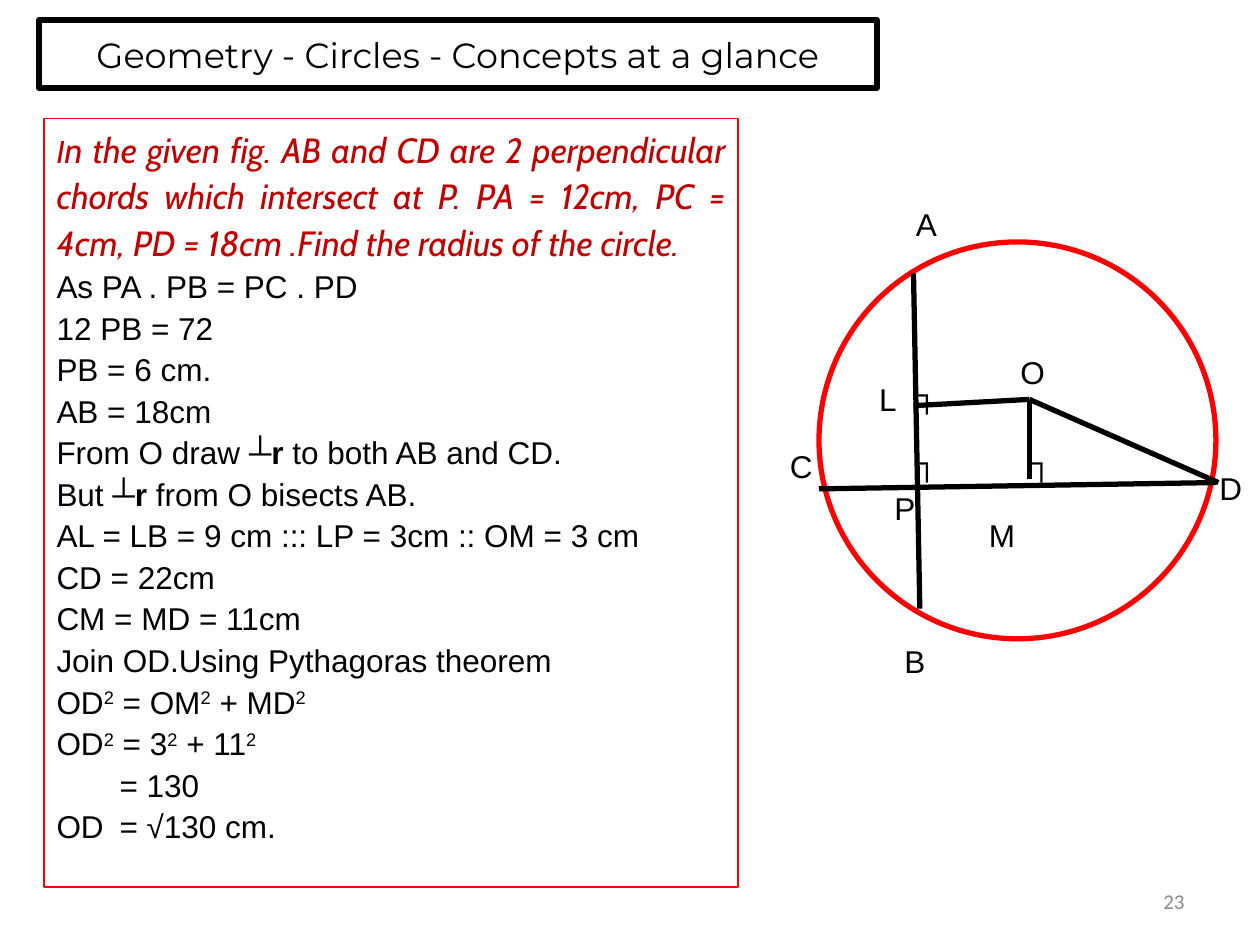
"""Build a geometry slide with a worked circle problem and its figure."""
import dataclasses
import typing

import lxml.etree
import pptx
import pptx.dml.color
import pptx.enum.shapes
import pptx.enum.text
import pptx.oxml.ns
import pptx.util

Inches = pptx.util.Inches
Align = pptx.enum.text.PP_ALIGN
Anchor = pptx.enum.text.MSO_ANCHOR


@dataclasses.dataclass(frozen=True)
class Theme:
    black: str = "000000"
    red: str = "FF0000"
    question: str = "C00000"
    grey: str = "898989"
    title_font: str = "Montserrat"
    question_font: str = "Cabin"
    body_font: str = "Arial"
    number_font: str = "Calibri"
    large: int = 20
    body: int = 18
    small: int = 12
    thick: float = 3
    thin: float = 1


THEME = Theme()


class Box(typing.NamedTuple):
    left: float
    top: float
    width: float
    height: float


class Point(typing.NamedTuple):
    x: float
    y: float


@dataclasses.dataclass(frozen=True)
class Span:
    text: str
    size: int = THEME.body
    font: str = THEME.body_font
    color: str = THEME.black
    bold: bool = False
    italic: bool = False
    raised: bool = False


class Label(typing.NamedTuple):
    text: str
    left: float
    top: float
    width: float


SQUARED = Span("2", raised=True)
PERPENDICULAR = Span("┴r", bold=True)
QUESTION_STYLE = Span("", THEME.large, THEME.question_font, THEME.question, italic=True)
SOLUTION = [
    [
        dataclasses.replace(QUESTION_STYLE, text="I", size=THEME.body),
        dataclasses.replace(
            QUESTION_STYLE,
            text="n the given fig. AB and CD are 2 perpendicular chords which intersect at P. "
            "PA = 12cm, PC = 4cm, PD = 18cm .Find the radius of the circle.",
        ),
    ],
    [Span("As PA . PB = PC . PD")],
    [Span("12 PB = 72")],
    [Span("PB = 6 cm.")],
    [Span("AB = 18cm")],
    [Span("From O draw "), PERPENDICULAR, Span(" to both AB and CD.")],
    [Span("But "), PERPENDICULAR, Span(" from O bisects AB.")],
    [Span("AL = LB = 9 cm ::: LP = 3cm :: OM = 3 cm")],
    [Span("CD = 22cm")],
    [Span("CM = MD = 11cm")],
    [Span("Join OD.Using Pythagoras theorem")],
    [Span("OD"), SQUARED, Span(" = OM"), SQUARED, Span(" + MD"), SQUARED],
    [Span("OD"), SQUARED, Span(" = 3"), SQUARED, Span(" + 11"), SQUARED],
    [Span("\t= 130")],
    [Span("OD\t= √130 cm.")],
]
EQUALS_TAB = 0.5

CIRCLE = Box(6.5, 1.92, 3.15, 3.15)
CENTRE = Point(8.17, 3.17)
SEGMENTS = [
    (Point(7.25, 2.17), Point(7.3, 4.83)),
    (Point(6.5, 3.88), Point(9.65, 3.83)),
    (CENTRE, Point(8.17, 3.8)),
    (CENTRE, Point(9.67, 3.83)),
    (Point(7.25, 3.22), CENTRE),
]
LABEL_HEIGHT = 0.4
LABELS = [
    Label("A", 7.17, 1.58, 0.67),
    Label("B", 7.08, 5.05, 0.37),
    Label("C", 6.17, 3.5, 0.33),
    Label("D", 9.58, 3.67, 0.25),
    Label("P", 7, 3.83, 0.42),
    Label("M", 7.75, 4.05, 0.45),
    Label("O", 8, 2.75, 0.25),
    Label("L", 6.88, 2.97, 0.2),
    Label("┐", 7.17, 3.46, 0.5),
    Label("┐", 7.17, 2.92, 0.42),
    Label("┐", 8.08, 3.46, 0.37),
]


def rgb(color: str) -> pptx.dml.color.RGBColor:
    return pptx.dml.color.RGBColor.from_string(color)


def add_run(paragraph, span: Span) -> None:
    run = paragraph.add_run()
    run.text = span.text
    run.font.size = pptx.util.Pt(span.size)
    run.font.name = span.font
    run.font.color.rgb = rgb(span.color)
    run.font.bold = span.bold
    run.font.italic = span.italic
    if span.raised:
        run.font._element.set("baseline", "30000")


def add_tab_stop(paragraph, position: float) -> None:
    tag = pptx.oxml.ns.qn
    stops = lxml.etree.SubElement(paragraph._p.get_or_add_pPr(), tag("a:tabLst"))
    lxml.etree.SubElement(stops, tag("a:tab"), pos=str(Inches(position)), algn="l")


def add_text(slide, box: Box, lines: list[list[Span]], align=Align.LEFT,
             anchor=Anchor.TOP, spacing: float = 1.0):
    shape = slide.shapes.add_textbox(*map(Inches, box))
    frame = shape.text_frame
    frame.word_wrap = True
    frame.vertical_anchor = anchor
    for index, spans in enumerate(lines):
        paragraph = frame.add_paragraph() if index else frame.paragraphs[0]
        paragraph.alignment = align
        paragraph.line_spacing = spacing
        if any("\t" in span.text for span in spans):
            add_tab_stop(paragraph, EQUALS_TAB)
        for span in spans:
            add_run(paragraph, span)
    return shape


def set_line(shape, color: str, width: float) -> None:
    shape.line.color.rgb = rgb(color)
    shape.line.width = pptx.util.Pt(width)


def add_segment(slide, start: Point, end: Point) -> None:
    connector = slide.shapes.add_connector(
        pptx.enum.shapes.MSO_CONNECTOR.STRAIGHT, *map(Inches, (*start, *end)))
    set_line(connector, THEME.black, THEME.thick)
    lxml.etree.SubElement(connector._element.spPr, pptx.oxml.ns.qn("a:effectLst"))


def add_figure(slide) -> None:
    circle = slide.shapes.add_shape(
        pptx.enum.shapes.MSO_SHAPE.OVAL, *map(Inches, CIRCLE))
    circle.shadow.inherit = False
    circle.fill.background()
    set_line(circle, THEME.red, THEME.thick)
    for start, end in SEGMENTS:
        add_segment(slide, start, end)
    for label in LABELS:
        box = Box(label.left, label.top, label.width, LABEL_HEIGHT)
        add_text(slide, box, [[Span(label.text)]])


def main() -> None:
    presentation = pptx.Presentation()
    presentation.slide_width = Inches(10)
    presentation.slide_height = Inches(7.5)
    slide = presentation.slides.add_slide(presentation.slide_layouts[6])

    solution = add_text(slide, Box(0.35, 0.94, 5.51, 6.1), SOLUTION, Align.JUSTIFY, spacing=1.1)
    set_line(solution, THEME.red, THEME.thin)
    add_figure(slide)
    number = Span("23", THEME.small, THEME.number_font, THEME.grey)
    add_text(slide, Box(7.17, 6.95, 2.33, 0.4), [[number]], Align.RIGHT, Anchor.MIDDLE)
    heading = Span("Geometry - Circles - Concepts at a glance", THEME.large, THEME.title_font)
    title = add_text(slide, Box(0.31, 0.16, 6.65, 0.54), [[heading]], Align.CENTER, Anchor.MIDDLE)
    set_line(title, THEME.black, THEME.thick)
    presentation.save("out.pptx")


if __name__ == "__main__":
    main()
